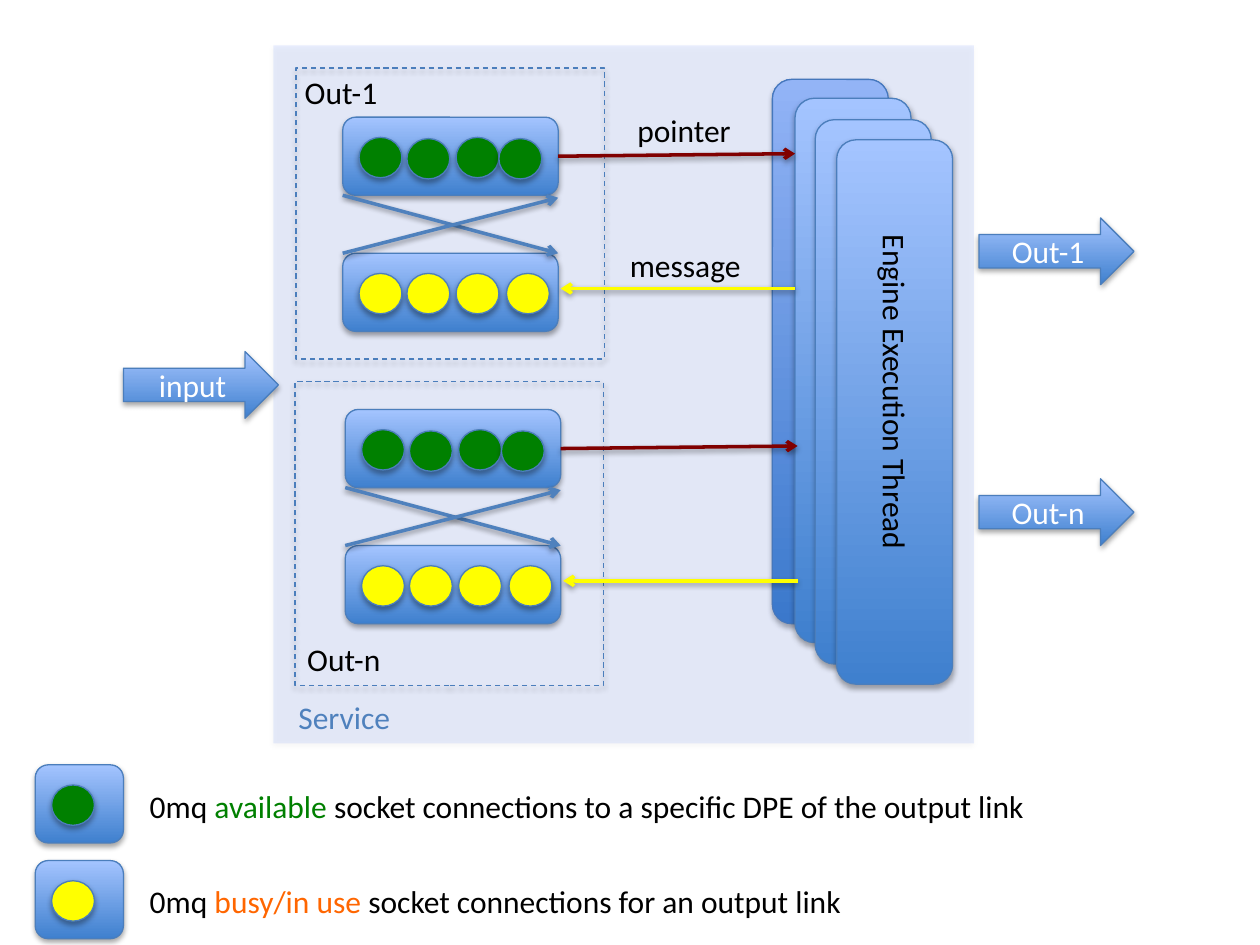
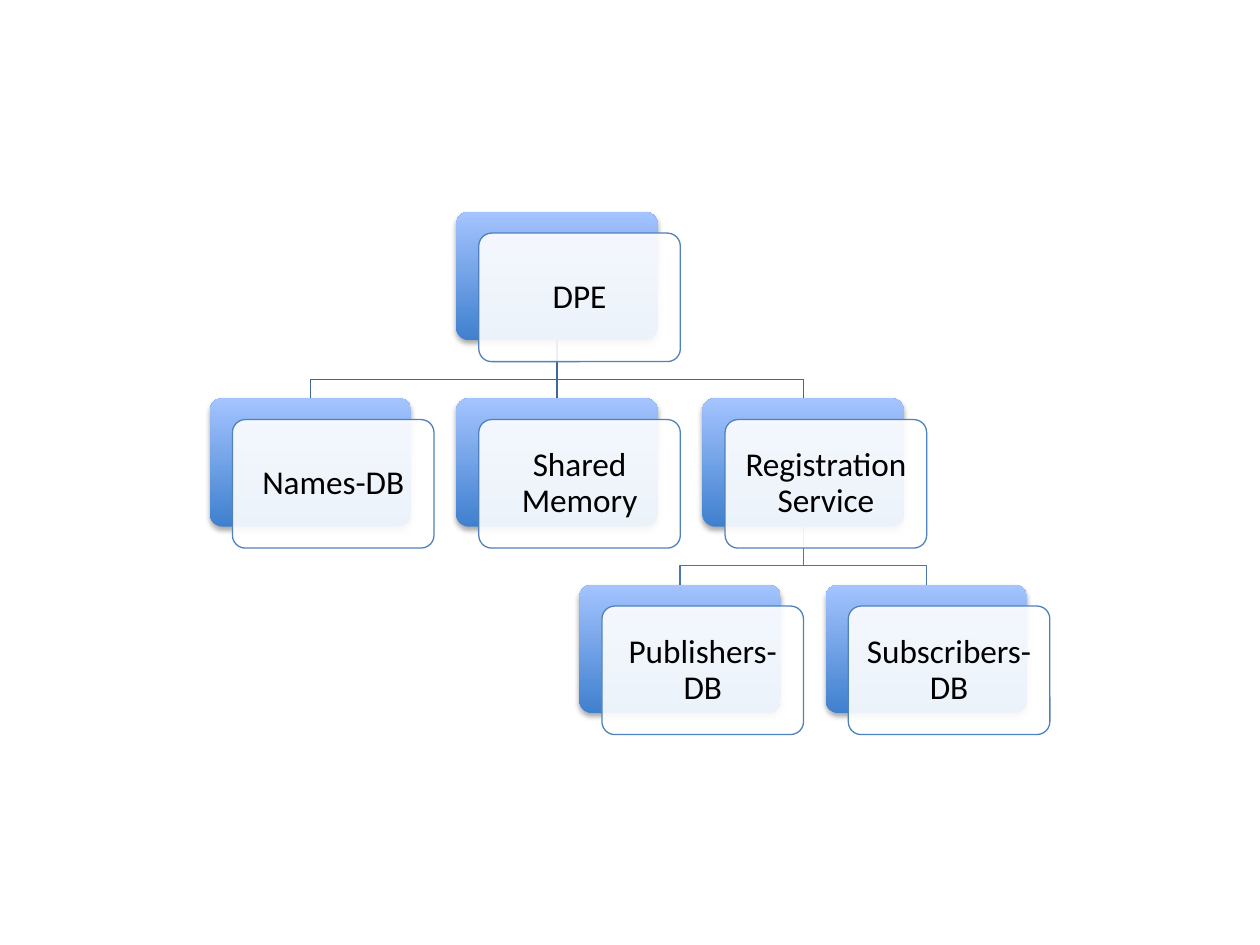
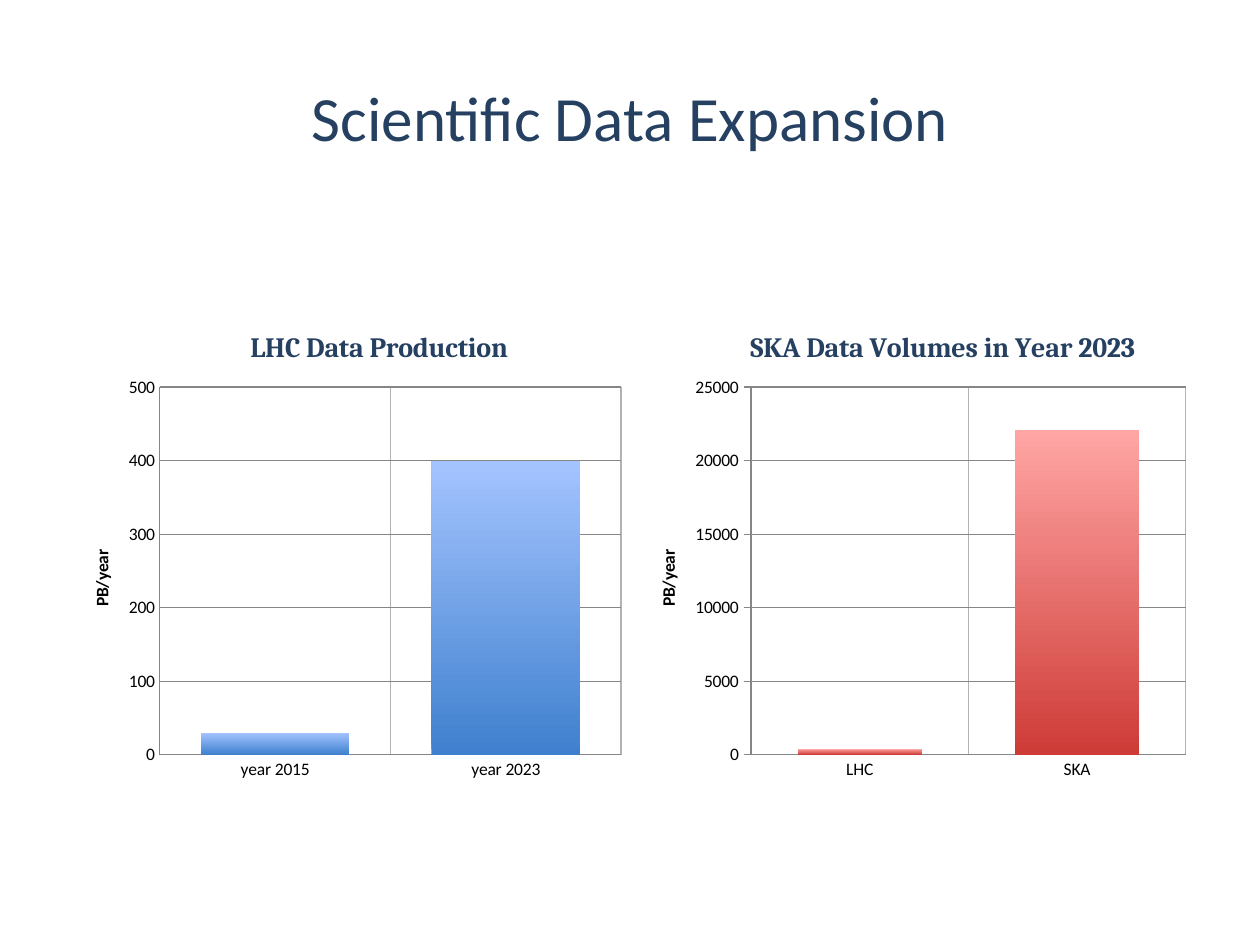
from dataclasses import dataclass
from typing import NamedTuple

from lxml import etree
from pptx import Presentation
from pptx.chart.data import CategoryChartData
from pptx.dml.color import RGBColor
from pptx.enum.chart import XL_CHART_TYPE, XL_TICK_MARK
from pptx.enum.dml import MSO_LINE
from pptx.enum.shapes import MSO_CONNECTOR, MSO_SHAPE
from pptx.enum.text import MSO_ANCHOR, MSO_AUTO_SIZE, PP_ALIGN
from pptx.oxml import parse_xml
from pptx.oxml.ns import nsdecls, qn
from pptx.util import Inches, Pt

ROUND = MSO_SHAPE.ROUNDED_RECTANGLE
RECT = MSO_SHAPE.RECTANGLE
OVAL = MSO_SHAPE.OVAL
ARROW = MSO_SHAPE.RIGHT_ARROW
STRAIGHT = MSO_CONNECTOR.STRAIGHT
DASH = MSO_LINE.DASH
CENTER = PP_ALIGN.CENTER
MIDDLE = MSO_ANCHOR.MIDDLE
GROW = MSO_AUTO_SIZE.SHAPE_TO_FIT_TEXT
STACKED = XL_CHART_TYPE.COLUMN_STACKED
NO_TICK = XL_TICK_MARK.NONE
OUT_TICK = XL_TICK_MARK.OUTSIDE

BLACK = RGBColor(0x00, 0x00, 0x00)
WHITE = RGBColor(0xFF, 0xFF, 0xFF)
NAVY = RGBColor(0x25, 0x40, 0x61)
BLUE = RGBColor(0x4F, 0x81, 0xBD)
EDGE = RGBColor(0x4B, 0x7E, 0xBC)
DEEP = RGBColor(0x3F, 0x80, 0xCE)
PALE = RGBColor(0xA4, 0xC4, 0xFF)
TINT = RGBColor(0x33, 0x66, 0xFF)
GREEN = RGBColor(0x00, 0x80, 0x00)
YELLOW = RGBColor(0xFF, 0xFF, 0x00)
ORANGE = RGBColor(0xFF, 0x66, 0x00)
MAROON = RGBColor(0x80, 0x00, 0x00)
TOP_LINK = RGBColor(0x3F, 0x67, 0x97)
LOW_LINK = RGBColor(0x48, 0x75, 0xAC)
RED = RGBColor(0xCE, 0x3B, 0x37)
ROSE = RGBColor(0xFF, 0xA6, 0xA4)
GRAY = RGBColor(0x86, 0x86, 0x86)
SILVER = RGBColor(0xB3, 0xB3, 0xB3)

BODY = "Calibri"
SERIF = "Cambria"


class Box(NamedTuple):
    x: float
    y: float
    w: float
    h: float

    def lengths(self) -> tuple:
        return tuple(Inches(v) for v in self)


class Run(NamedTuple):
    words: str
    color: RGBColor = BLACK


class Spot(NamedTuple):
    x: float
    y: float


class Blend(NamedTuple):
    low: RGBColor
    high: RGBColor


SKY = Blend(DEEP, PALE)
CORAL = Blend(RED, ROSE)


@dataclass
class Node:
    label: str
    x: float
    y: float


@dataclass
class Graph:
    title: str
    box: Box
    names: tuple
    values: tuple
    blend: Blend
    gap: int
    top: int
    step: int
    tick: XL_TICK_MARK
    plot: Box
    head: Spot


def shade(item, alpha: int = 35, dist: int = 23000) -> None:
    effects = item.element.spPr.find(qn("a:effectLst"))
    if effects is None:
        effects = etree.SubElement(item.element.spPr, qn("a:effectLst"))
    cast = etree.SubElement(effects, qn("a:outerShdw"), blurRad="40000",
                            dist=str(dist), dir="5400000", rotWithShape="0")
    color = etree.SubElement(cast, qn("a:srgbClr"), val=str(BLACK))
    etree.SubElement(color, qn("a:alpha"), val=str(alpha * 1000))


def blend_fill(fill, blend: Blend) -> None:
    fill.gradient()
    fill.gradient_angle = 90
    for stop, color in zip(fill.gradient_stops, blend):
        stop.color.rgb = color


def draw(slide, kind, box: Box, fill=None, line=EDGE, alpha: int = 100,
         cast: bool = True):
    shape = slide.shapes.add_shape(kind, *box.lengths())
    if fill is None:
        shape.fill.background()
    elif isinstance(fill, Blend):
        blend_fill(shape.fill, fill)
    else:
        shape.fill.solid()
        shape.fill.fore_color.rgb = fill
        if alpha < 100:
            color = shape.element.spPr.find(".//" + qn("a:srgbClr"))
            etree.SubElement(color, qn("a:alpha"), val=str(alpha * 1000))
    if line is None:
        shape.line.fill.background()
    else:
        shape.line.color.rgb = line
        shape.line.width = Pt(0.75)
    shape.shadow.inherit = False
    if cast:
        shade(shape)
    return shape


def write(frame, runs: list, size: float, font: str = BODY):
    par = frame.paragraphs[0]
    for words, color in runs:
        run = par.add_run()
        run.text = words
        run.font.size = Pt(size)
        run.font.name = font
        run.font.color.rgb = color
    return par


def label(slide, box: Box, *runs: Run):
    text = slide.shapes.add_textbox(*box.lengths())
    text.text_frame.word_wrap = False
    text.text_frame.auto_size = GROW
    write(text.text_frame, runs, 18)
    return text


def center(slide, box: Box, run: Run, size: float, inset: float):
    frame = slide.shapes.add_textbox(*box.lengths()).text_frame
    frame.word_wrap = True
    frame.vertical_anchor = MIDDLE
    frame.margin_left = frame.margin_right = Inches(inset)
    frame.margin_top = frame.margin_bottom = Inches(inset)
    par = write(frame, [run], size)
    par.alignment = CENTER
    return par


def wire(slide, start: Spot, end: Spot, color: RGBColor, width: float):
    line = slide.shapes.add_connector(
        STRAIGHT, *(Inches(v) for v in (*start, *end)))
    line.line.color.rgb = color
    line.line.width = Pt(width)
    return line


def arrow(slide, start: Spot, end: Spot, color: RGBColor) -> None:
    line = wire(slide, start, end, color, 2)
    etree.SubElement(line.element.spPr.find(qn("a:ln")), qn("a:tailEnd"),
                     type="arrow")
    shade(line, 38, 20000)


def thread(slide, x: float, y: float) -> None:
    draw(slide, ROUND, Box(x, y, 0.92, 4.32), SKY)


def dot(slide, x: float, y: float, color: RGBColor) -> None:
    draw(slide, OVAL, Box(x, y, 0.34, 0.32), color)


LOWER = 1.08
POOL_W = 1.71
POOL_H = 0.62
GREENS = ((0.13, 0.16), (0.51, 0.17), (0.9, 0.16), (1.24, 0.17))
YELLOWS = tuple((x, LOWER + 0.16) for x in (0.13, 0.51, 0.9, 1.3))


def pools(slide, at: Spot) -> None:
    x, y = at
    right = x + POOL_W
    for drop in (0, LOWER):
        draw(slide, ROUND, Box(x, y + drop, POOL_W, POOL_H), SKY)
    arrow(slide, Spot(x, y + POOL_H), Spot(right, y + LOWER), BLUE)
    arrow(slide, Spot(x, y + LOWER), Spot(right, y + POOL_H + 0.02), BLUE)
    for color, spots in ((GREEN, GREENS), (YELLOW, YELLOWS)):
        for dx, dy in spots:
            dot(slide, x + dx, y + dy, color)


def flows(slide, at: Spot) -> None:
    x, y = at
    far = x + 3.59
    arrow(slide, Spot(x + POOL_W, y + 0.31), Spot(far, y + 0.29), MAROON)
    arrow(slide, Spot(far, y + 1.36), Spot(x + 1.73, y + 1.36), YELLOW)


def service(slide) -> None:
    links = (Spot(2.72, 0.93), Spot(2.74, 3.25))
    thread(slide, 6.13, 0.63)
    draw(slide, RECT, Box(2.17, 0.36, 5.56, 5.54), TINT, None, 10)
    thread(slide, 6.31, 0.78)
    for at in links:
        pools(slide, at)
    for box in (Box(2.35, 0.54, 2.45, 2.31), Box(2.34, 3.03, 2.45, 2.41)):
        draw(slide, RECT, box).line.dash_style = DASH
    thread(slide, 6.47, 0.95)
    thread(slide, 6.64, 1.11)
    for at in links:
        flows(slide, at)
    for x, y, words in ((0.98, 2.79, "input"), (7.77, 1.73, "Out-1"),
                        (7.77, 3.8, "Out-n")):
        frame = draw(slide, ARROW, Box(x, y, 1.23, 0.53), SKY).text_frame
        frame.vertical_anchor = MIDDLE
        write(frame, [Run(words, WHITE)], 18).alignment = CENTER
    label(slide, Box(5.74, 2.93, 2.73, 0.4),
          Run("Engine Execution Thread")).rotation = 90
    for y, color in ((6.07, GREEN), (6.83, YELLOW)):
        draw(slide, ROUND, Box(0.28, y, 0.7, POOL_H), SKY)
        dot(slide, 0.41, y + 0.16, color)
    label(slide, Box(1.09, 6.2, 7.23, 0.4), Run("0mq "),
          Run("available ", GREEN),
          Run("socket connections to a specific DPE of the output link "))
    label(slide, Box(1.09, 6.95, 5.77, 0.4), Run("0mq "),
          Run("busy/in use ", ORANGE),
          Run("socket connections for an output link"))
    label(slide, Box(2.27, 5.49, 0.94, 0.4), Run("Service", BLUE))
    label(slide, Box(4.96, 0.83, 0.96, 0.4), Run("pointer"))
    label(slide, Box(4.9, 1.9, 1.09, 0.4), Run("message"))
    label(slide, Box(2.34, 5.03, 0.8, 0.4), Run("Out-n "))
    label(slide, Box(2.32, 0.53, 0.79, 0.4), Run("Out-1 "))


CARD_W = 1.6
CARD_H = 1.02
PITCH = 1.955
RISE = 1.48


def branch(slide, top: Node, low: Node, color: RGBColor) -> None:
    start = Spot(top.x + CARD_W / 2, top.y + CARD_H)
    end = Spot(low.x + CARD_W / 2, low.y)
    if top.x == low.x:
        line = wire(slide, start, end, color, 0.75)
        etree.SubElement(line.element.spPr, qn("a:effectLst"))
        return
    bend = end.y - 0.15
    path = slide.shapes.build_freeform(Inches(start.x), Inches(start.y))
    path.add_line_segments(
        [(Inches(x), Inches(y))
         for x, y in ((start.x, bend), (end.x, bend), end)], close=False)
    shape = path.convert_to_shape()
    shape.fill.background()
    shape.line.color.rgb = color
    shape.line.width = Pt(0.75)
    shape.shadow.inherit = False


def card(slide, node: Node) -> None:
    x, y = node.x, node.y
    back = draw(slide, ROUND, Box(x, y, CARD_W, CARD_H), SKY, None)
    front = draw(slide, ROUND, Box(x + 0.18, y + 0.17, CARD_W, CARD_H),
                 WHITE, BLUE, 90, False)
    for shape in (back, front):
        shape.adjustments[0] = 0.1
    par = center(slide, Box(x + 0.21, y + 0.2, 1.54, 0.96),
                 Run(node.label), 19, 0.08)
    par.line_spacing = 0.9
    par.space_after = Pt(6.65)


def tree(slide) -> None:
    x, y = 3.62, 1.68
    root = Node("DPE", x, y)
    mids = [Node(name, x + (i - 1) * PITCH, y + RISE) for i, name in
            enumerate(("Names-DB", "Shared Memory", "Registration Service"))]
    leaves = [Node(name, x + (i + 0.5) * PITCH, y + 2 * RISE) for i, name in
              enumerate(("Publishers-DB", "Subscribers-DB"))]
    for leaf in reversed(leaves):
        branch(slide, mids[-1], leaf, LOW_LINK)
    for mid in reversed(mids):
        branch(slide, root, mid, TOP_LINK)
    for node in (root, *mids, *leaves):
        card(slide, node)


def place(parent, index: int, spot: tuple, inner: bool = False) -> None:
    for old in parent.findall(qn("c:layout")):
        parent.remove(old)
    target = '<c:layoutTarget val="inner"/>' if inner else ""
    modes = '<c:xMode val="edge"/><c:yMode val="edge"/>'
    sizes = "".join(f'<c:{key} val="{val}"/>' for key, val in zip("xywh", spot))
    parent.insert(index, parse_xml(
        f'<c:layout {nsdecls("c")}><c:manualLayout>{target}{modes}{sizes}'
        "</c:manualLayout></c:layout>"))


def plot(slide, graph: Graph) -> None:
    data = CategoryChartData()
    data.categories = graph.names
    data.add_series("Series 1", graph.values)
    chart = slide.shapes.add_chart(STACKED, *graph.box.lengths(), data).chart
    chart.has_legend = False
    chart.font.size = Pt(10)
    chart.font.name = BODY
    chart.font.color.rgb = BLACK
    chart.has_title = True
    title = chart.chart_title
    par = write(title.text_frame, [Run(graph.title, NAVY)], 16, SERIF)
    par.runs[0].font.bold = True
    place(title.element, 1, graph.head)
    place(chart.element.find(".//" + qn("c:plotArea")), 0, graph.plot, True)
    bars = chart.plots[0]
    bars.vary_by_categories = False
    bars.gap_width = graph.gap
    bars.overlap = 100
    blend_fill(bars.series[0].format.fill, graph.blend)
    names, scale = chart.category_axis, chart.value_axis
    for axis, color, tick in ((names, SILVER, NO_TICK),
                              (scale, GRAY, graph.tick)):
        axis.has_major_gridlines = True
        axis.major_gridlines.format.line.color.rgb = color
        axis.major_gridlines.format.line.width = Pt(0.75)
        axis.format.line.color.rgb = GRAY
        axis.major_tick_mark = tick
        axis.minor_tick_mark = NO_TICK
    scale.minimum_scale = 0
    scale.maximum_scale = graph.top
    scale.major_unit = graph.step
    par = write(scale.axis_title.text_frame, [Run("PB/year")], 10)
    par.runs[0].font.bold = True


GRAPHS = (
    Graph("LHC Data Production", Box(0.5, 2.42, 4.52, 3.84),
          ("year 2015", "year 2023"), (30, 400), SKY, 55, 500, 100, NO_TICK,
          Box(0.17, 0.17, 0.81, 0.76), Spot(0.32, 0.04)),
    Graph("SKA Data Volumes in Year 2023", Box(5.02, 2.42, 4.48, 3.84),
          ("LHC", "SKA"), (400, 22100), CORAL, 75, 25000, 5000, OUT_TICK,
          Box(0.21, 0.17, 0.77, 0.76), Spot(0.2, 0.04)),
)


def growth(slide) -> None:
    center(slide, Box(0.5, 0.3, 9, 1.25),
           Run("Scientific Data Expansion", NAVY), 36, 0.1)
    for graph in GRAPHS:
        plot(slide, graph)


def main() -> None:
    deck = Presentation()
    deck.slide_width = Inches(10)
    deck.slide_height = Inches(7.5)
    for fill in (service, tree, growth):
        fill(deck.slides.add_slide(deck.slide_layouts[6]))
    deck.save("out.pptx")


main()
